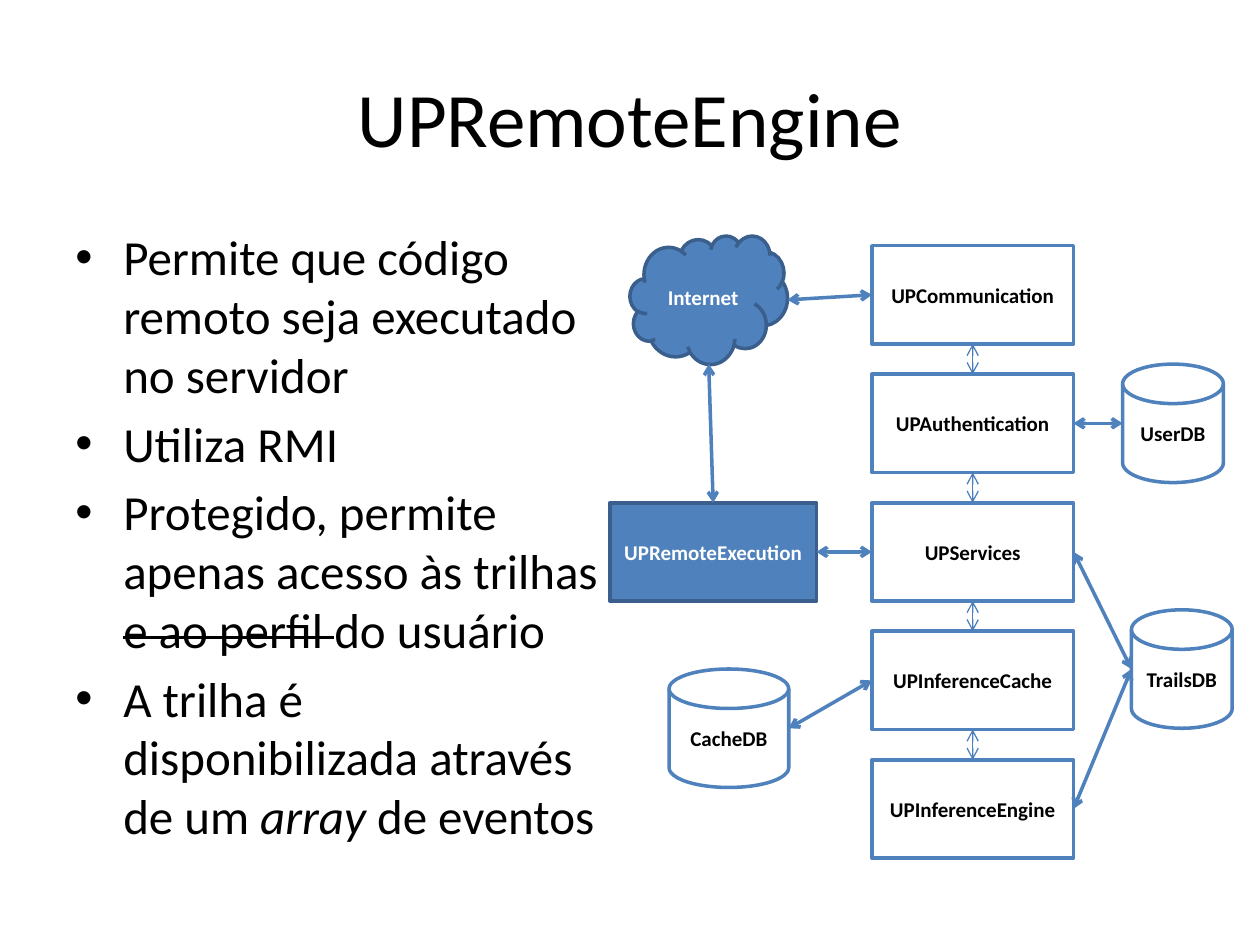
from dataclasses import dataclass
from lxml.etree import SubElement
from pptx import Presentation
from pptx.dml.color import RGBColor
from pptx.enum.shapes import MSO_CONNECTOR, MSO_SHAPE
from pptx.enum.text import MSO_ANCHOR, PP_ALIGN
from pptx.oxml.ns import qn
from pptx.util import Inches, Pt


@dataclass
class Theme:
    font: str = "Calibri"
    head: float = 44
    body: float = 28
    label: float = 12
    thick: float = 2
    thin: float = 0.75
    black: RGBColor = RGBColor(0, 0, 0)
    white: RGBColor = RGBColor(255, 255, 255)
    blue: RGBColor = RGBColor.from_string("4F81BD")
    dark: RGBColor = RGBColor.from_string("3A5F8C")
    soft: RGBColor = RGBColor.from_string("4B7EBC")


theme = Theme()


def write(para, text, size, color, bold=False):
    run = para.add_run()
    run.text = text
    font = run.font
    font.name, font.size, font.bold = theme.font, Pt(size), bold
    font.color.rgb = color
    return run


def link(start, end, color, width):
    ends = []
    for name, across, down in (start, end):
        node = nodes[name]
        ends += [int(node.left + across * node.width), int(node.top + down * node.height)]
    line = slide.shapes.add_connector(MSO_CONNECTOR.STRAIGHT, *ends)
    line.line.color.rgb = color
    line.line.width = Pt(width)
    stroke = line.line._get_or_add_ln()
    for tag in ("a:headEnd", "a:tailEnd"):
        SubElement(stroke, qn(tag), type="arrow")
    SubElement(line._element.spPr, qn("a:effectLst"))


deck = Presentation()
deck.slide_width, deck.slide_height = Inches(10), Inches(7.5)
slide = deck.slides.add_slide(deck.slide_layouts[5])

title = slide.shapes.title
title.left, title.top, title.width, title.height = map(Inches, (0.5, 0.3, 9, 1.25))
title.text_frame.vertical_anchor = MSO_ANCHOR.MIDDLE
para = title.text_frame.paragraphs[0]
para.alignment = PP_ALIGN.CENTER
write(para, "UPRemoteEngine", theme.head, theme.black)

points = [
    [("Permite que código remoto seja executado no servidor", "")],
    [("Utiliza RMI", "")],
    [("Protegido, permite apenas acesso às trilhas ", ""), ("e ao perfil ", "strike"),
     ("do usuário", "")],
    [("A trilha é disponibilizada através de um ", ""), ("array", "italic"),
     (" de eventos", "")],
]
frame = slide.shapes.add_textbox(*map(Inches, (0.5, 1.75, 4.42, 4.95))).text_frame
frame.word_wrap = True
for i, point in enumerate(points):
    para = frame.add_paragraph() if i else frame.paragraphs[0]
    para.space_before = Pt(0.2 * theme.body if i else 0)
    props = para._p.get_or_add_pPr()
    props.set("marL", str(Inches(0.38)))
    props.set("indent", str(-Inches(0.38)))
    SubElement(props, qn("a:buFont"), typeface="Arial")
    SubElement(props, qn("a:buChar"), char="•")
    for text, style in point:
        run = write(para, text, theme.body, theme.black)
        if style == "italic":
            run.font.italic = True
        if style == "strike":
            run.font._element.set("strike", "sngStrike")

stack = ["UPCommunication", "UPAuthentication", "UPServices",
         "UPInferenceCache", "UPInferenceEngine"]
col, top, step, wide, high, tall = 6.92, 1.95, 1.02, 1.6, 0.78, 0.94
rect, disk = MSO_SHAPE.RECTANGLE, MSO_SHAPE.FLOWCHART_MAGNETIC_DISK
items = [(name, rect, col, top + i * step, wide, high, False)
         for i, name in enumerate(stack)]
items += [
    ("Internet", MSO_SHAPE.CLOUD, 5, 1.87, 1.25, 1.02, True),
    ("CacheDB", disk, 5.31, 5.31, 0.95, tall, False),
    ("TrailsDB", disk, 8.98, 4.84, 0.8, tall, False),
    ("UserDB", disk, 8.91, 2.89, 0.8, tall, False),
    ("UPRemoteExecution", rect, 4.84, top + 2 * step, 1.64, high, True),
]
nodes = {}
for name, kind, x, y, w, h, solid in items:
    node = slide.shapes.add_shape(kind, *map(Inches, (x, y, w, h)))
    node.shadow.inherit = False
    node.fill.solid()
    node.fill.fore_color.rgb = theme.blue if solid else theme.white
    node.line.color.rgb = theme.dark if solid else theme.blue
    node.line.width = Pt(theme.thick)
    frame = node.text_frame
    frame.margin_left = frame.margin_right = 0
    frame.word_wrap = True
    frame.vertical_anchor = MSO_ANCHOR.MIDDLE
    para = frame.paragraphs[0]
    para.alignment = PP_ALIGN.CENTER
    write(para, name, theme.label, theme.white if solid else theme.black, True)
    nodes[name] = node

left, right, above, below = (0, 0.5), (1, 0.5), (0.5, 0), (0.5, 1)
links = [
    ("Internet", right, "UPCommunication", left),
    ("UPRemoteExecution", above, "Internet", below),
    ("UPRemoteExecution", right, "UPServices", left),
    ("CacheDB", right, "UPInferenceCache", left),
    ("UPAuthentication", right, "UserDB", left),
    ("UPServices", right, "TrailsDB", left),
    ("TrailsDB", left, "UPInferenceEngine", right),
]
for first, out, last, into in links:
    link((first, *out), (last, *into), theme.blue, theme.thick)
for first, last in zip(stack, stack[1:]):
    link((first, *below), (last, *above), theme.soft, theme.thin)

deck.save("out.pptx")
